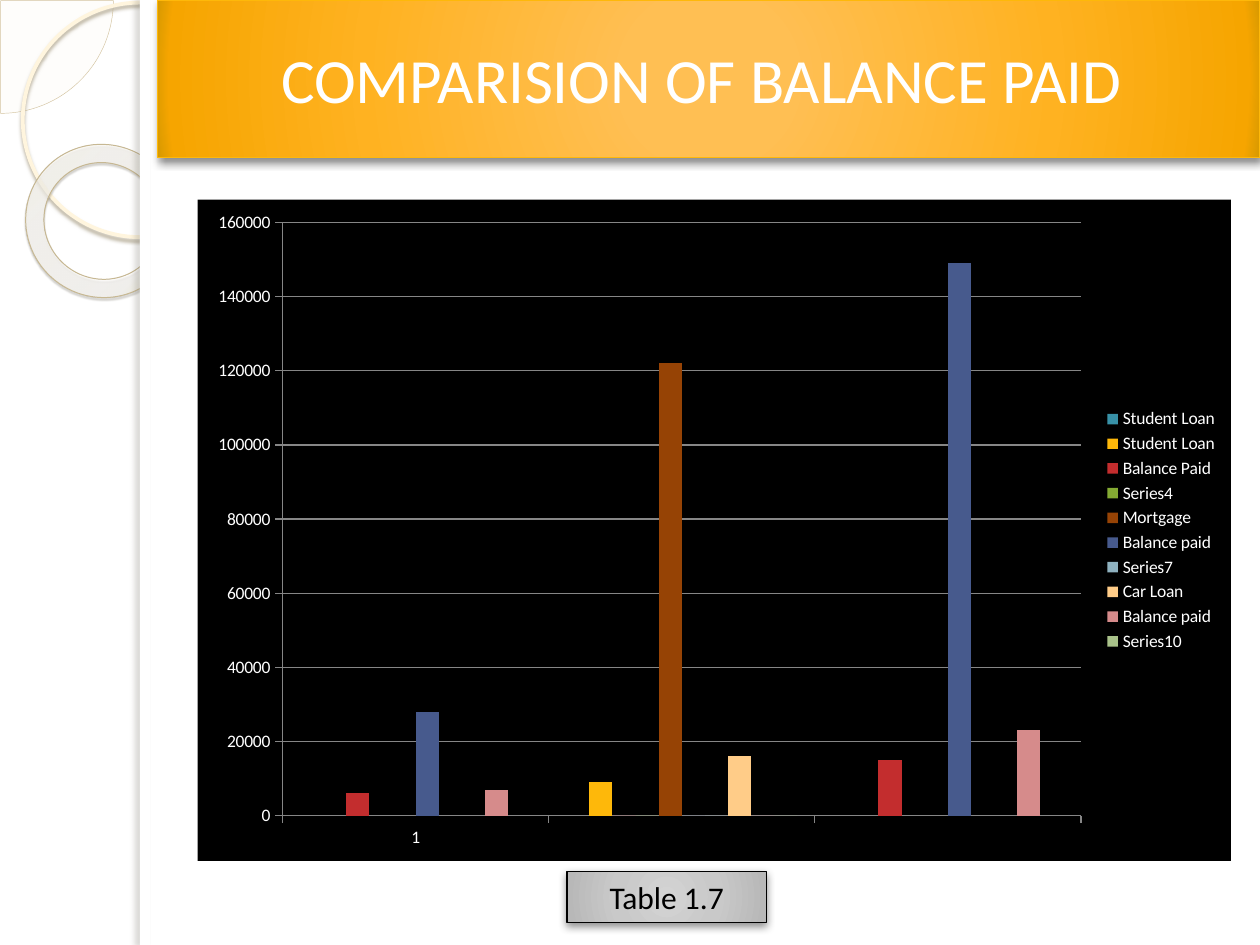
from dataclasses import dataclass

from lxml import etree
from pptx import Presentation
from pptx.chart.data import CategoryChartData
from pptx.dml.color import RGBColor
from pptx.enum.chart import XL_CHART_TYPE, XL_LEGEND_POSITION, XL_TICK_MARK
from pptx.enum.shapes import MSO_SHAPE
from pptx.enum.text import MSO_ANCHOR, PP_ALIGN
from pptx.oxml import parse_xml
from pptx.oxml.ns import nsdecls, qn
from pptx.util import Pt

CENTER, MIDDLE = PP_ALIGN.CENTER, MSO_ANCHOR.MIDDLE
RECTANGLE, OVAL = MSO_SHAPE.RECTANGLE, MSO_SHAPE.OVAL
PIE, DONUT = MSO_SHAPE.PIE, MSO_SHAPE.DONUT
OUTSIDE = XL_TICK_MARK.OUTSIDE
CENTERED = (50, 50, 50, 50)


@dataclass(frozen=True)
class Theme:
    font: str = "Calibri"
    title_size: int = 36
    caption_size: int = 18
    chart_size: int = 10
    white: str = "FFFFFF"
    black: str = "000000"
    grid: str = "868686"
    banner_line: str = "FEB80A"
    # Gradient stops: position, colour, opacity
    banner: tuple = ((0, "FFBF54", 100), (15, "FFBF53", 100), (62, "FFB221", 100),
                     (97, "F6A500", 100), (100, "D69900", 100))
    caption: tuple = ((0, "D3D3D3", 100), (50, "C9C9C9", 100),
                      (97, "B8B8B8", 100), (100, "B2B2B2", 100))
    donut: tuple = ((0, "FFFCF6", 70), (70, "FFFEFB", 55), (100, "F0D28E", 60))
    # Shadows: colour, opacity, blur, distance, direction
    raised: tuple = ("000000", 43, 5, 2, 90)
    ring_shadow: tuple = ("B0A68F", 85, 2, 2, 90)
    donut_shadow: tuple = ("5A5444", 35, 1, 1.2, 75)
    edge_shadow: tuple = ("736F63", 25, 3, 3, 180)


THEME = Theme()

SERIES = (
    ("Student Loan", (None, None, None), "3891A7"),
    ("Student Loan", (None, 9000, None), "FEB80A"),
    ("Balance Paid", (6000, 0, 15000), "C32D2E"),
    ("Series4", (None, 0, None), "84AA33"),
    ("Mortgage", (None, 122000, None), "964305"),
    ("Balance paid", (28000, 0, 149000), "475A8D"),
    ("Series7", (None, 0, None), "8FB2C0"),
    ("Car Loan", (None, 16000, None), "FFCC88"),
    ("Balance paid", (7000, 0, 23000), "D68B8B"),
    ("Series10", (None, 0, None), "A9C28A"),
)


def color_xml(color, opacity=100):
    return f'<a:srgbClr val="{color}"><a:alpha val="{opacity * 1000}"/></a:srgbClr>'


def fill_xml(fill, focus=CENTERED):
    """Describe a (colour, opacity) pair or a tuple of gradient stops."""
    if isinstance(fill[0], str):
        return f'<a:solidFill {nsdecls("a")}>{color_xml(*fill)}</a:solidFill>'
    stops = "".join(f'<a:gs pos="{position * 1000}">{color_xml(color, opacity)}</a:gs>'
                    for position, color, opacity in fill)
    sides = " ".join(f'{side}="{value * 1000}"' for side, value in zip("ltrb", focus))
    return (f'<a:gradFill {nsdecls("a")} rotWithShape="1"><a:gsLst>{stops}</a:gsLst>'
            f'<a:path path="circle"><a:fillToRect {sides}/></a:path></a:gradFill>')


def style(shape, fill=None, line=None, shadow=None, focus=CENTERED):
    shape.fill.background()
    properties = shape._element.spPr
    if fill:
        properties.replace(properties.find(qn("a:noFill")), parse_xml(fill_xml(fill, focus)))
    if line:
        shape.line.color.rgb = RGBColor.from_string(line[0])
        shape.line.width = Pt(line[1])
    else:
        shape.line.fill.background()
    shape.shadow.inherit = False
    if shadow:
        color, opacity, blur, distance, direction = shadow
        outer = etree.SubElement(
            properties.find(qn("a:effectLst")), qn("a:outerShdw"),
            blurRad=str(Pt(blur)), dist=str(Pt(distance)), dir=str(direction * 60000),
            algn="ctr", rotWithShape="0")
        outer.append(parse_xml(color_xml(color, opacity).replace(
            "<a:srgbClr", f'<a:srgbClr {nsdecls("a")}', 1)))


def add_shape(slide, kind, box, **formats):
    shape = slide.shapes.add_shape(kind, *map(Pt, box))
    style(shape, **formats)
    return shape


def write_text(shape, text, size, color):
    frame = shape.text_frame
    frame.word_wrap = True
    frame.vertical_anchor = MIDDLE
    paragraph = frame.paragraphs[0]
    paragraph.alignment = CENTER
    run = paragraph.add_run()
    run.text = text
    run.font.name = THEME.font
    run.font.size = Pt(size)
    run.font.color.rgb = RGBColor.from_string(color)


def add_side_decoration(slide, box):
    left, top, width, height = box
    quarter = add_shape(slide, PIE, (left - 64, top - 64, 128.8, 128.8),
                        fill=("FEFAF4", 33), line=("D3C39F", 0.25))
    quarter.adjustments[0] = 0
    quarter.adjustments[1] = 54
    add_shape(slide, OVAL, (left + 13, top + 1.5, 134, 134),
              line=("FFF5DE", 2.15), shadow=THEME.ring_shadow)
    donut = add_shape(slide, DONUT, (left + 14.4, top + 82.8, 88.5, 87),
                      fill=THEME.donut, line=("C7B893", 0.58),
                      shadow=THEME.donut_shadow, focus=(-408, -50, 508, 150))
    donut.adjustments[0] = 0.12
    donut.rotation = 38.6
    # Content panel with a shaded left edge
    white = (THEME.white, 100)
    add_shape(slide, RECTANGLE, (left + width, top, 720 - width, height), fill=white)
    add_shape(slide, RECTANGLE, (left + width, top, 5.8, height),
              fill=white, shadow=THEME.edge_shadow)


def place_title(slide, box, text):
    title = slide.shapes.title
    title.left, title.top, title.width, title.height = map(Pt, box)
    style(title, fill=THEME.banner, line=(THEME.banner_line, 0.75), shadow=THEME.raised)
    write_text(title, text, THEME.title_size, THEME.white)
    slide.shapes._spTree.append(title._element)  # In front of the panel


def add_balance_chart(slide, box):
    data = CategoryChartData()
    data.categories = ["1", "", ""]
    for name, values, _ in SERIES:
        data.add_series(name, values)
    chart = slide.shapes.add_chart(XL_CHART_TYPE.COLUMN_CLUSTERED, *map(Pt, box), data).chart
    chart.has_title = False
    chart.font.name = THEME.font
    chart.font.size = Pt(THEME.chart_size)
    chart.font.color.rgb = RGBColor.from_string(THEME.white)
    chart.has_legend = True
    chart.legend.position = XL_LEGEND_POSITION.RIGHT
    chart.legend.include_in_layout = False

    plot = chart.plots[0]
    plot.gap_width = 150
    plot.overlap = 0
    plot.vary_by_categories = False
    for series, (_, _, color) in zip(plot.series, SERIES):
        series.format.fill.solid()
        series.format.fill.fore_color.rgb = RGBColor.from_string(color)
        series.invert_if_negative = False

    # Axes and gridlines
    value_axis = chart.value_axis
    value_axis.minimum_scale, value_axis.maximum_scale = 0, 160000
    value_axis.major_unit = 20000
    value_axis.has_major_gridlines = True
    for axis in (value_axis, chart.category_axis):
        axis.major_tick_mark = OUTSIDE
    for part in (value_axis, chart.category_axis, value_axis.major_gridlines):
        part.format.line.color.rgb = RGBColor.from_string(THEME.grid)
        part.format.line.width = Pt(0.75)

    # Black chart and plot backgrounds
    background = (f'<c:spPr {nsdecls("c", "a")}>{fill_xml((THEME.black, 100))}'
                  '<a:ln><a:noFill/></a:ln></c:spPr>')
    chart_element = chart._chartSpace.find(qn("c:chart"))
    chart_element.addnext(parse_xml(background))
    chart_element.find(qn("c:plotArea")).append(parse_xml(background))


def add_caption(slide, box, text):
    caption = add_shape(slide, RECTANGLE, box, fill=THEME.caption,
                        line=(THEME.black, 0.75), shadow=THEME.raised)
    write_text(caption, text, THEME.caption_size, THEME.black)


def main():
    presentation = Presentation()
    presentation.slide_width, presentation.slide_height = Pt(720), Pt(540)
    slide = presentation.slides.add_slide(presentation.slide_layouts[5])
    add_side_decoration(slide, (0, 0, 80, 540))
    place_title(slide, (90, 0, 630, 90), "COMPARISION OF BALANCE PAID ")
    add_balance_chart(slide, (113, 114, 590.4, 378))
    add_caption(slide, (324, 498, 114, 29), "Table 1.7")
    presentation.save("out.pptx")


if __name__ == "__main__":
    main()
